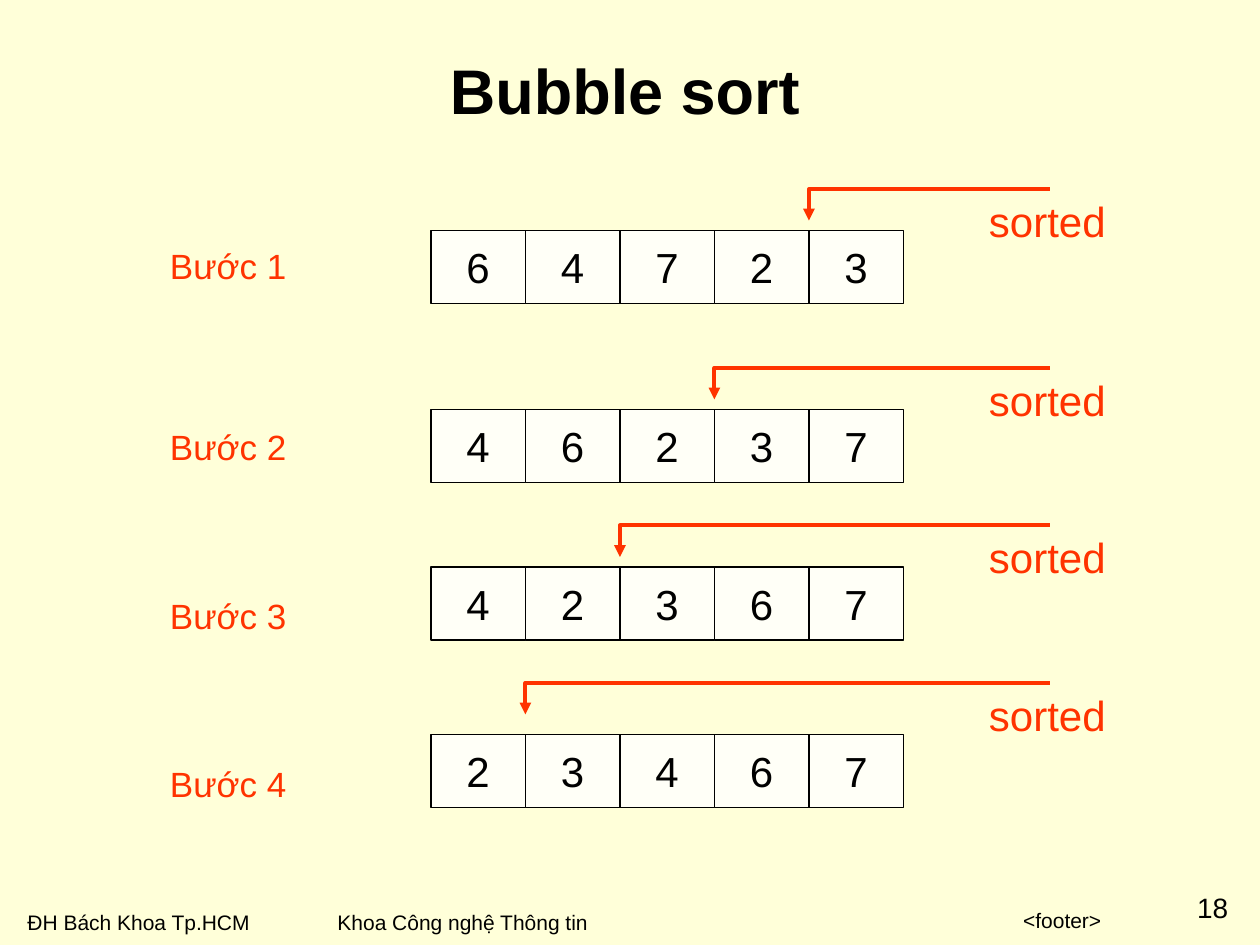
from lxml.etree import SubElement
from pptx import Presentation
from pptx.dml.color import RGBColor
from pptx.enum.shapes import MSO_SHAPE as Shape
from pptx.enum.text import MSO_ANCHOR as Anchor, MSO_AUTO_SIZE as AutoSize, PP_ALIGN as Align
from pptx.oxml.ns import qn
from pptx.util import Inches, Pt

COLORS = {"background": "FFFFD9", "cell": "FFFFF7", "ink": "000000", "accent": "FF3300"}
CELL_WIDTH, CELL_HEIGHT = 0.75, 0.58
LABEL_WIDTH = 1.15

# label, values, label top, array top, marker top, sorted-part start index
STEPS = [
    ("Bước 1", "64723", 1.89, 1.83, 1.5, 4),
    ("Bước 2", "46237", 3.33, 3.25, 2.92, 3),
    ("Bước 3", "42367", 4.67, 4.5, 4.17, 2),
    ("Bước 4", "23467", 6, 5.83, 5.42, 1),
]


def color(name):
    return RGBColor.from_string(COLORS[name])


def write(shape, text, size, ink="ink", bold=False, align=Align.LEFT,
          anchor=Anchor.TOP, wrap=False, grow=False, inset=(0.1, 0.05)):
    frame = shape.text_frame
    frame.word_wrap = wrap
    frame.auto_size = AutoSize.SHAPE_TO_FIT_TEXT if grow else AutoSize.NONE
    frame.vertical_anchor = anchor
    frame.margin_left = frame.margin_right = Inches(inset[0])
    frame.margin_top = frame.margin_bottom = Inches(inset[1])
    paragraph = frame.paragraphs[0]
    paragraph.alignment = align
    run = paragraph.add_run()
    run.text = text
    run.font.name = "Arial"
    run.font.size = Pt(size)
    run.font.bold = bold
    run.font.color.rgb = color(ink)


def add_text(shapes, box, text, size, **style):
    write(shapes.add_textbox(*map(Inches, box)), text, size, **style)


def add_array(shapes, left, top, values):
    for index, value in enumerate(values):
        cell = shapes.add_shape(Shape.RECTANGLE, Inches(left + index * CELL_WIDTH),
                                Inches(top), Inches(CELL_WIDTH), Inches(CELL_HEIGHT))
        cell.shadow.inherit = False
        cell.fill.solid()
        cell.fill.fore_color.rgb = color("cell")
        cell.line.color.rgb = color("ink")
        cell.line.width = Pt(0.75)
        write(cell, value, 24, align=Align.CENTER, anchor=Anchor.MIDDLE)


def add_sorted_marker(shapes, left, top, right):
    marker = shapes.add_group_shape().shapes
    add_text(marker, (right - 0.58, top, LABEL_WIDTH, 0.5), "sorted", 24,
             ink="accent", grow=True)

    # Bent arrow pointing down at the start of the sorted part
    builder = marker.build_freeform(Inches(left), Inches(top + 0.25))
    builder.add_line_segments([(Inches(left), Inches(top)),
                               (Inches(right), Inches(top))], close=False)
    arrow = builder.convert_to_shape()
    arrow.shadow.inherit = False
    arrow.fill.background()
    arrow.line.color.rgb = color("accent")
    arrow.line.width = Pt(2.25)
    SubElement(arrow.line._get_or_add_ln(), qn("a:headEnd"), type="triangle")


def add_steps(shapes, label_left, array_left, marker_right):
    for label, values, label_top, array_top, marker_top, start in STEPS:
        add_text(shapes, (label_left, label_top, LABEL_WIDTH, 0.44), label, 20,
                 ink="accent", grow=True)
        add_array(shapes, array_left, array_top, values)
        add_sorted_marker(shapes, array_left + start * CELL_WIDTH, marker_top, marker_right)


def add_footer(shapes, left, top):
    add_text(shapes, (left, top, 1.97, 0.3), "ĐH Bách Khoa Tp.HCM", 12, grow=True)
    add_text(shapes, (left + 2.46, top, 2.19, 0.3), "Khoa Công nghệ Thông tin", 12,
             grow=True)
    add_text(shapes, (left + 3.05, top - 0.02, 5.67, 0.3), "<footer>", 12,
             align=Align.RIGHT, wrap=True)
    add_text(shapes, (left + 9.29, top - 0.1, 0.43, 0.27), "18", 16,
             align=Align.CENTER, wrap=True, inset=(0, 0))


def main():
    deck = Presentation()
    deck.slide_width, deck.slide_height = Inches(10), Inches(7.5)
    slide = deck.slides.add_slide(deck.slide_layouts[6])
    slide.background.fill.solid()
    slide.background.fill.fore_color.rgb = color("background")

    add_footer(slide.shapes, 0.12, 7.17)
    add_text(slide.shapes, (0.92, 0.08, 8.08, 1.25), "Bubble sort", 36, bold=True,
             align=Align.CENTER, anchor=Anchor.MIDDLE, wrap=True)
    add_steps(slide.shapes, label_left=1.25, array_left=3.42, marker_right=8.33)
    deck.save("out.pptx")


if __name__ == "__main__":
    main()
